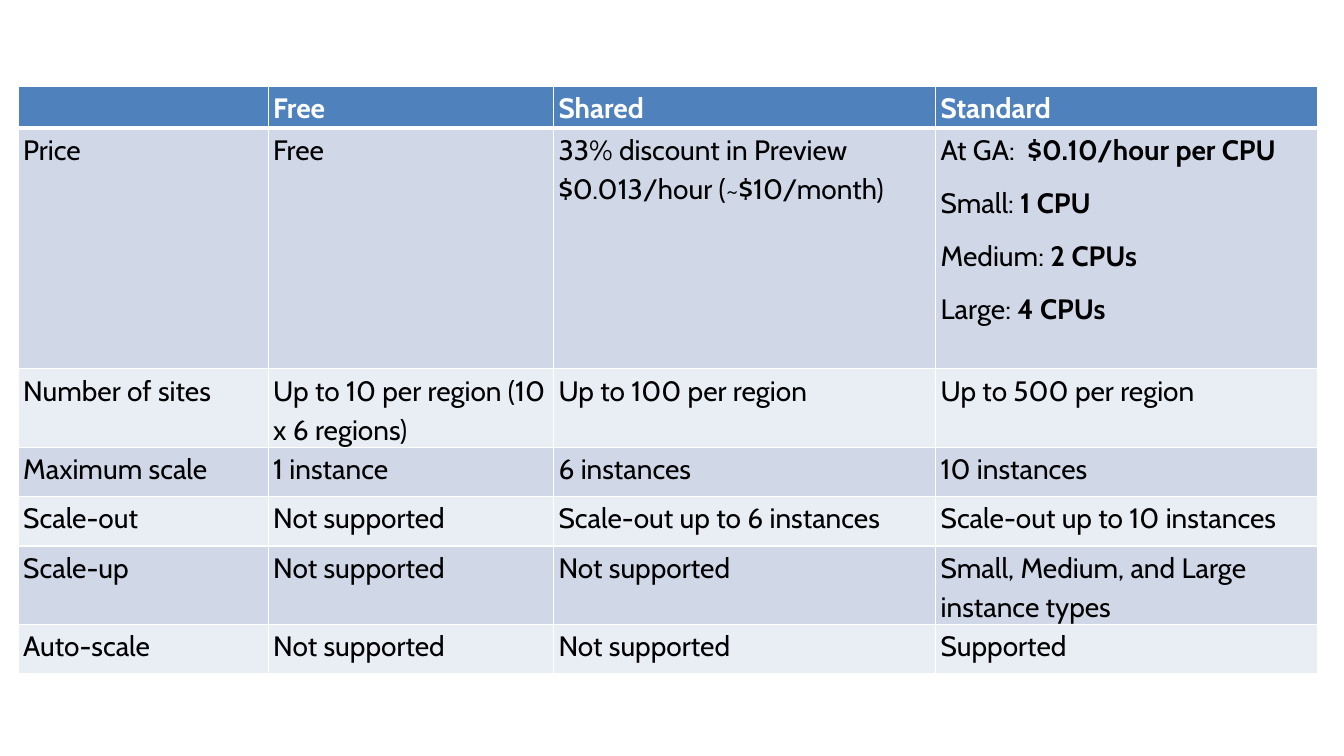
from lxml.etree import SubElement
from pptx import Presentation
from pptx.dml.color import RGBColor as RGB
from pptx.oxml.ns import qn
from pptx.util import Inches, Pt

WHITE, BLACK, BLUE = "FFFFFF", "000000", "4F81BD"
BANDS = ["D0D8E8", "E9EDF4"]
COLS = [2.48, 2.83, 3.79, 3.79]
ROWS = [0.41, 2.39, 0.45] + [0.49] * 4

# Lines of a cell are split by newlines; text between bars is bold.
PRICES = """At GA:  |$0.10/hour per CPU|
Small: |1 CPU|
Medium: |2 CPUs|
Large: |4 CPUs|"""
PLANS = [
    ["", "|Free|", "|Shared|", "|Standard|"],
    ["Price", "Free", "33% discount in Preview $0.013/hour (~$10/month)", PRICES],
    ["Number of sites", "Up to 10 per region (10 x 6 regions)",
     "Up to 100 per region", "Up to 500 per region"],
    ["Maximum scale", "1 instance", "6 instances", "10 instances"],
    ["Scale-out", "Not supported", "Scale-out up to 6 instances",
     "Scale-out up to 10 instances"],
    ["Scale-up", "Not supported", "Not supported",
     "Small, Medium, and Large instance types"],
    ["Auto-scale", "Not supported", "Not supported", "Supported"],
]


def color(code):
    return RGB.from_string(code)


def border(cell, side, width):
    line = SubElement(cell._tc.get_or_add_tcPr(), qn(f"a:ln{side}"), w=str(Pt(width)))
    fill = SubElement(line, qn("a:solidFill"))
    SubElement(fill, qn("a:srgbClr"), val=WHITE)


deck = Presentation()
deck.slide_width, deck.slide_height = Inches(13.33), Inches(7.5)
slide = deck.slides.add_slide(deck.slide_layouts[6])

frame = slide.shapes.add_table(len(ROWS), len(COLS), Inches(0.18), Inches(0.86),
                               Inches(sum(COLS)), Inches(sum(ROWS)))
table = frame.table
for col, width in zip(table.columns, COLS):
    col.width = Inches(width)
for row, height in zip(table.rows, ROWS):
    row.height = Inches(height)

margins = {"margin_left": Inches(0.05), "margin_right": Inches(0.05),
           "margin_top": 0, "margin_bottom": 0}
spacing = {"line_spacing": 1.15, "space_after": Pt(10)}

for r, plan in enumerate(PLANS):
    ink = BLACK if r else WHITE
    widths = {"L": 1, "R": 1, "T": 3 if r == 1 else 1, "B": 1 if r else 3}
    for c, text in enumerate(plan):
        cell = table.cell(r, c)
        for name, value in margins.items():
            setattr(cell, name, value)
        for side, width in widths.items():
            border(cell, side, width)
        cell.fill.solid()
        cell.fill.fore_color.rgb = color(BANDS[(r - 1) % 2] if r else BLUE)

        for n, line in enumerate(text.split("\n")):
            para = cell.text_frame.add_paragraph() if n else cell.text_frame.paragraphs[0]
            for name, value in spacing.items():
                setattr(para, name, value)
            for k, part in enumerate(line.split("|")):
                if not part:
                    continue
                run = para.add_run()
                run.text = part
                font = {"name": "Cabin", "size": Pt(20), "bold": k % 2 == 1}
                for name, value in font.items():
                    setattr(run.font, name, value)
                run.font.color.rgb = color(ink)

deck.save("out.pptx")
